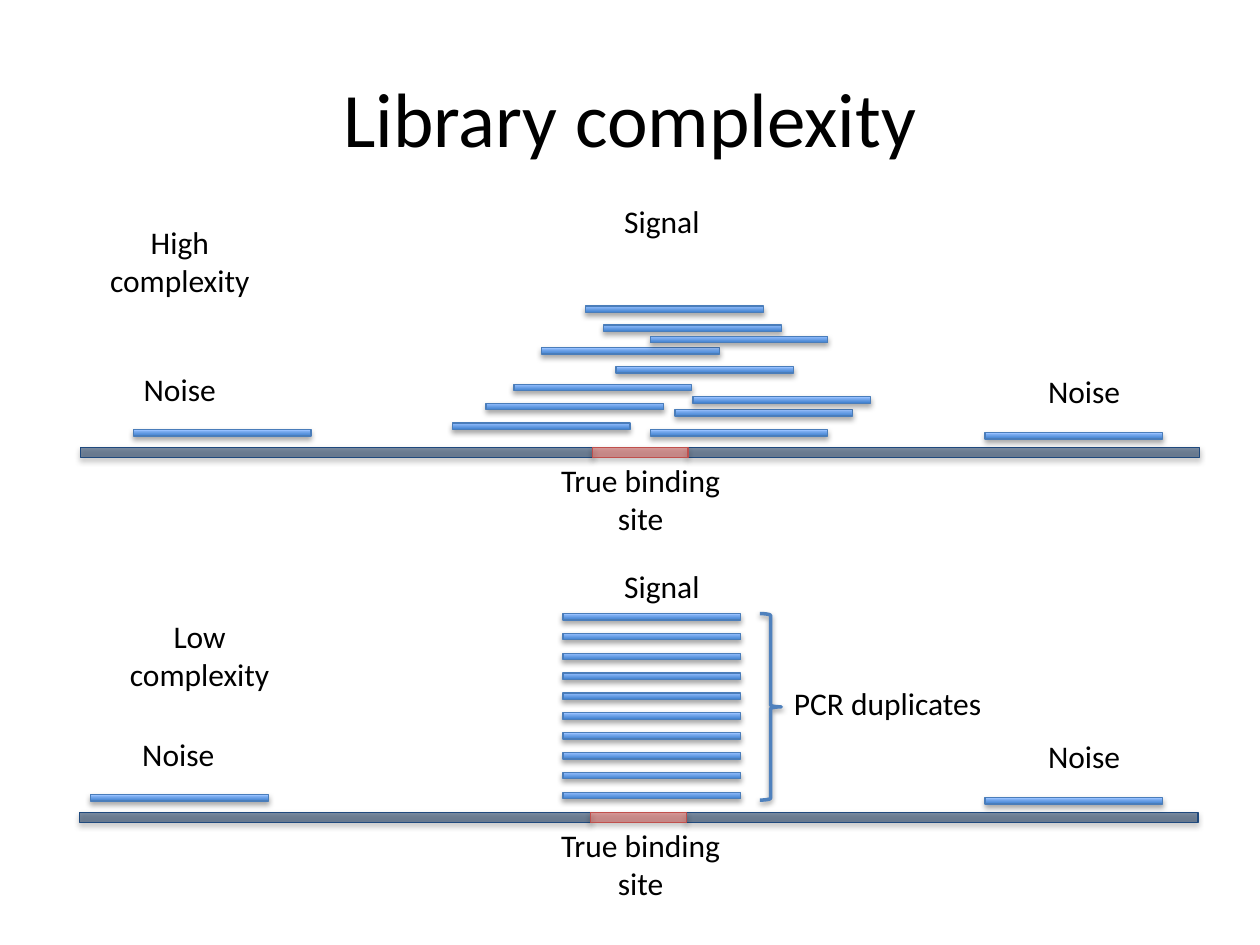
"""Draw a slide comparing high and low library complexity in sequencing reads."""
from dataclasses import dataclass

from lxml.etree import SubElement
from pptx import Presentation
from pptx.dml.color import RGBColor
from pptx.enum.shapes import MSO_SHAPE
from pptx.enum.text import MSO_ANCHOR, PP_ALIGN
from pptx.oxml.ns import qn
from pptx.shapes.autoshape import Shape
from pptx.slide import Slide
from pptx.util import Cm, Pt


@dataclass(frozen=True)
class Theme:
    font: str = "Calibri"
    title_size: int = 44
    label_size: int = 18
    text: str = "000000"
    genome: str = "17365D"
    genome_line: str = "1F497D"
    site: str = "C0504D"
    read_dark: str = "3E7FCD"
    read_light: str = "96C0FF"
    read_line: str = "4A7DBA"
    brace: str = "4F81BD"
    opacity: int = 55


@dataclass(frozen=True)
class Area:
    left: float
    top: float
    width: float
    height: float


@dataclass(frozen=True)
class Panel:
    heading: str
    heading_left: float
    heading_top: float
    left: float
    track_top: float
    noise_left: float
    signal_reads: list[tuple[float, float]]


THEME = Theme()
TRACK_WIDTH, SITE_WIDTH, TRACK_HEIGHT = 10.31, 1.93, 0.2
READ_WIDTH, READ_HEIGHT = 3.58, 0.13
LABEL_WIDTH, LINE_HEIGHT, TWO_LINE_HEIGHT = 3.99, 1.02, 1.8
RIGHT_NOISE = 19.86
STACK_LEFT, STACK_TOP, STACK_STEP, STACK_COUNT = 11.35, 12.37, 0.4, 10

SCATTERED_READS = [
    (9.12, 8.53), (9.8, 8.13), (13.11, 8.66), (10.36, 7.75),
    (13.61, 8.26), (13.97, 8.0), (12.42, 7.39), (10.92, 7.01),
    (12.17, 6.55), (13.11, 6.78), (11.81, 6.17),
]
DUPLICATE_READS = [
    (STACK_LEFT, STACK_TOP + row * STACK_STEP) for row in range(STACK_COUNT)
]
PANELS = [
    Panel("High complexity", 1.63, 4.37, 1.63, 9.02, 2.69, SCATTERED_READS),
    Panel("Low complexity", 2.03, 12.32, 1.6, 16.38, 1.83, DUPLICATE_READS),
]


def colour(code: str) -> RGBColor:
    """Turn a hex code into a colour."""
    return RGBColor.from_string(code)


def add_shadow(shape: Shape, opacity: int = 35, distance: float = 1.8) -> None:
    """Give a shape a soft shadow that falls straight down."""
    shape.shadow.inherit = False
    effects = shape._element.spPr.find(qn("a:effectLst"))
    shadow = SubElement(
        effects, qn("a:outerShdw"), blurRad=str(Pt(3.1)), dist=str(Pt(distance)),
        dir="5400000", rotWithShape="0",
    )
    shade = SubElement(shadow, qn("a:srgbClr"), val="000000")
    SubElement(shade, qn("a:alpha"), val=str(opacity * 1000))


def add_outlined(
    page: Slide, kind: MSO_SHAPE, area: Area, line: str, weight: float = 0.75
) -> Shape:
    """Add a preset shape with a coloured outline."""
    shape = page.shapes.add_shape(
        kind, Cm(area.left), Cm(area.top), Cm(area.width), Cm(area.height)
    )
    shape.line.color.rgb = colour(line)
    shape.line.width = Pt(weight)
    return shape


def add_track(page: Slide, area: Area, fill: str, line: str) -> None:
    """Add one translucent stretch of the genome."""
    bar = add_outlined(page, MSO_SHAPE.RECTANGLE, area, line)
    bar.fill.solid()
    bar.fill.fore_color.rgb = colour(fill)
    shade = bar._element.spPr.find(qn("a:solidFill")).find(qn("a:srgbClr"))
    SubElement(shade, qn("a:alpha"), val=str(THEME.opacity * 1000))
    add_shadow(bar)


def add_read(page: Slide, left: float, top: float) -> None:
    """Add one sequencing read."""
    area = Area(left, top, READ_WIDTH, READ_HEIGHT)
    bar = add_outlined(page, MSO_SHAPE.RECTANGLE, area, THEME.read_line)
    bar.fill.gradient()
    bar.fill.gradient_angle = 90
    for stop, code in zip(bar.fill.gradient_stops, (THEME.read_dark, THEME.read_light)):
        stop.color.rgb = colour(code)
    add_shadow(bar)


def add_text(
    page: Slide, text: str, area: Area, size: int = THEME.label_size,
    anchor: MSO_ANCHOR = MSO_ANCHOR.TOP,
) -> None:
    """Add a centred, wrapping text box."""
    box = page.shapes.add_textbox(
        Cm(area.left), Cm(area.top), Cm(area.width), Cm(area.height)
    )
    frame = box.text_frame
    frame.word_wrap = True
    frame.vertical_anchor = anchor
    para = frame.paragraphs[0]
    para.alignment = PP_ALIGN.CENTER
    span = para.add_run()
    span.text = text
    span.font.name = THEME.font
    span.font.size = Pt(size)
    span.font.color.rgb = colour(THEME.text)


def add_panel(page: Slide, panel: Panel) -> None:
    """Draw a genome track with its reads and labels."""
    top = panel.track_top
    site_left = panel.left + TRACK_WIDTH
    genome = (THEME.genome, THEME.genome_line)
    for left, width, colours in (
        (panel.left, TRACK_WIDTH, genome),
        (site_left + SITE_WIDTH, TRACK_WIDTH, genome),
        (site_left, SITE_WIDTH, (THEME.site, THEME.site)),
    ):
        add_track(page, Area(left, top, width, TRACK_HEIGHT), *colours)
    noise_reads = [(panel.noise_left, top - 0.36), (RIGHT_NOISE, top - 0.3)]
    for left, read_top in panel.signal_reads + noise_reads:
        add_read(page, left, read_top)
    for text, left, label_top, height in (
        ("True binding site", 10.92, top + 0.15, TWO_LINE_HEIGHT),
        ("Signal", 11.35, top - 5.08, LINE_HEIGHT),
        ("Noise", panel.left, top - 1.68, LINE_HEIGHT),
        ("Noise", RIGHT_NOISE, top - 1.64, LINE_HEIGHT),
        (panel.heading, panel.heading_left, panel.heading_top, TWO_LINE_HEIGHT),
    ):
        add_text(page, text, Area(left, label_top, LABEL_WIDTH, height))


def add_duplicate_brace(page: Slide) -> None:
    """Bracket the stacked reads as PCR duplicates."""
    area = Area(15.32, STACK_TOP, 0.43, 3.76)
    brace = add_outlined(page, MSO_SHAPE.RIGHT_BRACE, area, THEME.brace, 2)
    brace.fill.background()
    add_shadow(brace, opacity=38, distance=1.6)
    add_text(page, "PCR duplicates", Area(15.34, 13.67, 5.11, LINE_HEIGHT))


def main() -> None:
    """Build and save the deck."""
    deck = Presentation()
    deck.slide_width, deck.slide_height = Cm(25.4), Cm(19.05)
    page = deck.slides.add_slide(deck.slide_layouts[6])
    title_area = Area(1.27, 0.76, 22.86, 3.18)
    add_text(page, "Library complexity", title_area, THEME.title_size, MSO_ANCHOR.MIDDLE)
    for panel in PANELS:
        add_panel(page, panel)
    add_duplicate_brace(page)
    deck.save("out.pptx")


if __name__ == "__main__":
    main()
